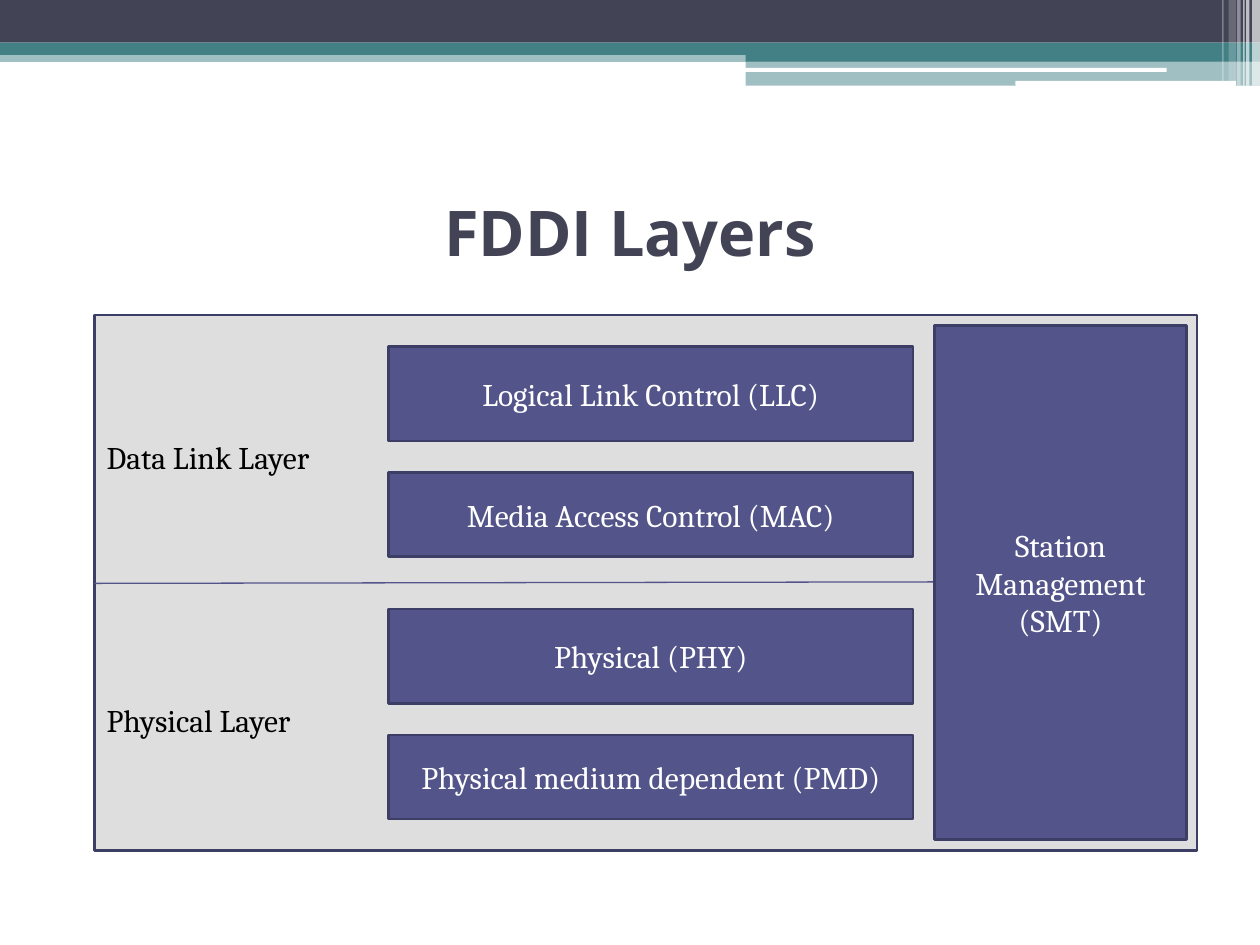
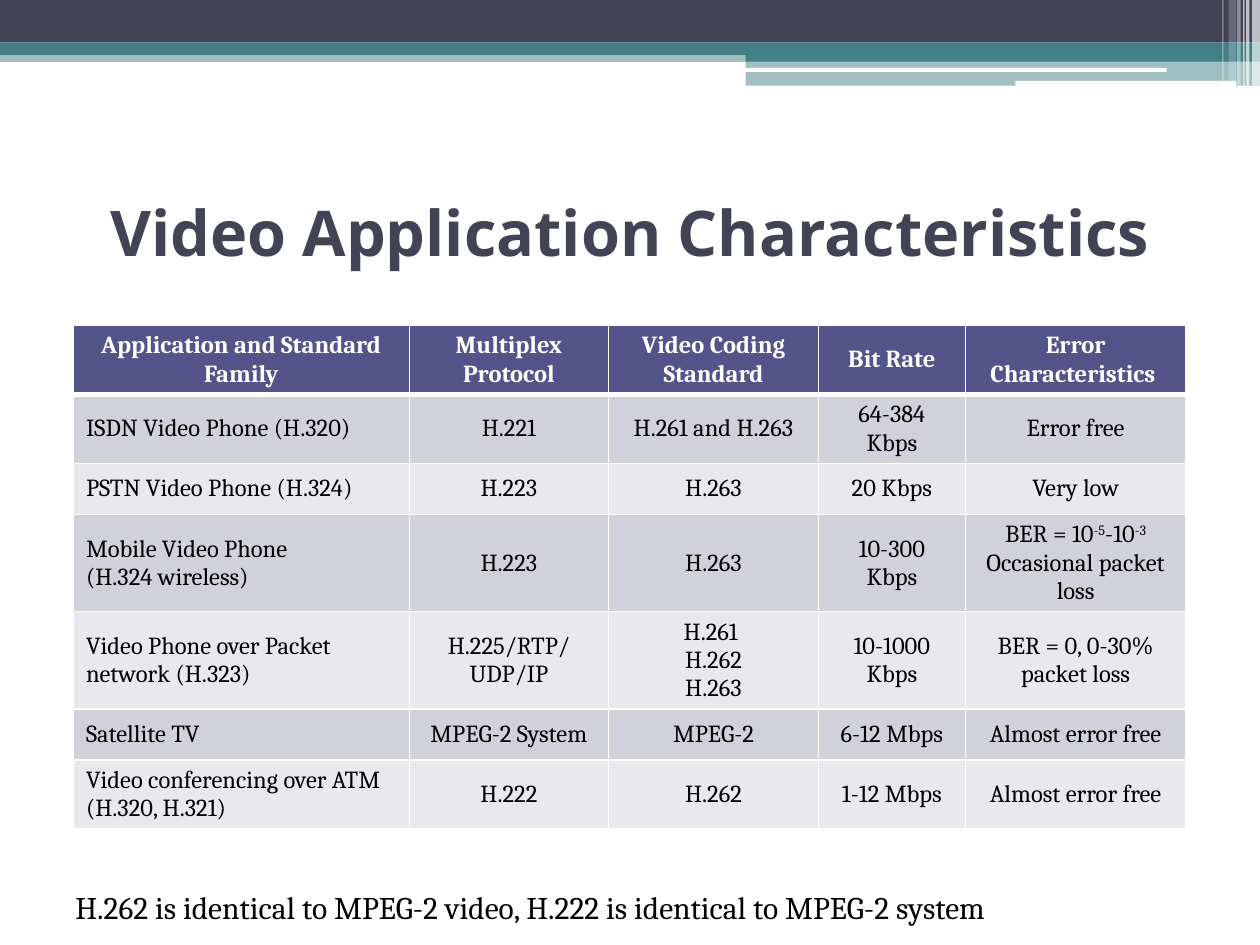
from dataclasses import dataclass

from lxml.etree import SubElement
from pptx import Presentation
from pptx.dml.color import RGBColor
from pptx.enum.shapes import MSO_CONNECTOR, MSO_SHAPE
from pptx.enum.text import MSO_ANCHOR, MSO_AUTO_SIZE, PP_ALIGN
from pptx.oxml.ns import qn
from pptx.oxml.xmlchemy import OxmlElement
from pptx.util import Cm, Pt

RECT, ROUND = MSO_SHAPE.RECTANGLE, MSO_SHAPE.ROUNDED_RECTANGLE
LINE = MSO_CONNECTOR.STRAIGHT
LEFT, CENTER = PP_ALIGN.LEFT, PP_ALIGN.CENTER
MIDDLE = MSO_ANCHOR.MIDDLE
GROW, FIXED = MSO_AUTO_SIZE.SHAPE_TO_FIT_TEXT, MSO_AUTO_SIZE.NONE

# Shared look
SLATE, TEAL, WHITE, BLACK = "424456", "438086", "FFFFFF", "000000"
VIOLET, EDGE, GREY = "53548A", "3D3E66", "DEDEDE"
STRIPES = ("D1D1DA", "E9E9ED")
HEAD, BODY = "Open Sans", "Cambria"
TITLE_ONLY = 5


@dataclass
class Box:
    """A place on the slide, in centimetres."""
    left: float
    top: float
    width: float
    height: float

    def lengths(self) -> tuple:
        return Cm(self.left), Cm(self.top), Cm(self.width), Cm(self.height)


@dataclass
class Band:
    box: Box
    fill: str
    alpha: int = 100
    shape: int = RECT


@dataclass
class Font:
    size: float
    color: str
    bold: bool = False
    name: str = BODY


@dataclass
class Layer:
    label: str
    width: float
    upper: str
    lower: str


TITLE = Font(36, SLATE, True, HEAD)
LABEL, NAME = Font(18, BLACK), Font(18, WHITE)
TOP_ROW, CELL = Font(14, WHITE, True), Font(14, BLACK)

BANDS = [
    Band(Box(0, 1.02, 25.4, 0.23), TEAL, 50),
    Band(Box(0, 0, 25.4, 0.86), SLATE),
    Band(Box(0, 0.86, 25.4, 0.25), TEAL),
    Band(Box(15.03, 0.99, 10.37, 0.25), TEAL),
    Band(Box(15.03, 1.23, 10.37, 0.5), TEAL, 50),
    Band(Box(15.01, 1.37, 8.51, 0.08), WHITE, 100, ROUND),
    Band(Box(20.47, 1.63, 4.45, 0.1), WHITE, 100, ROUND),
]
# Thin upright strips: left, width, height, alpha
STRIPS = [
    (25.24, 0.16, 1.73, 65), (25.12, 0.07, 1.73, 65),
    (25.06, 0.03, 1.73, 60), (24.94, 0.07, 1.73, 40),
    (24.77, 0.15, 1.63, 20), (24.64, 0.03, 1.63, 30),
]
BANDS += [Band(Box(x, 0, w, h), WHITE, a) for x, w, h, a in STRIPS]

# Words of the layer chart
LAYERS = [
    Layer("Data Link Layer", 5.08,
          "Logical Link Control (LLC)", "Media Access Control (MAC)"),
    Layer("Physical Layer", 4.62,
          "Physical (PHY)", "Physical medium dependent (PMD)"),
]

# Words of the table: a line break starts a paragraph, ^ turns superscript on or off
WIDTHS = (6.77, 4.02, 4.23, 2.96, 4.45)
ROWS = [
    ("Application and Standard Family", "Multiplex Protocol",
     "Video Coding Standard", "Bit Rate", "Error Characteristics "),
    ("ISDN Video Phone (H.320)", "H.221", "H.261 and H.263",
     "64-384 Kbps", "Error free"),
    ("PSTN Video Phone (H.324)", "H.223", "H.263", "20 Kbps", "Very low"),
    ("Mobile Video Phone \n(H.324 wireless)", "H.223", "H.263",
     "10-300 Kbps", "BER = 10^-5^-10^-3^\nOccasional packet loss"),
    ("Video Phone over Packet network (H.323)", "H.225/RTP/\nUDP/IP",
     "H.261 \nH.262\nH.263", "10-1000 Kbps", "BER = 0, 0-30% packet loss"),
    ("Satellite TV ", "MPEG-2 System", "MPEG-2", "6-12 Mbps",
     "Almost error free"),
    ("Video conferencing over ATM (H.320, H.321)", "H.222", "H.262",
     "1-12 Mbps", "Almost error free"),
]
NOTE = "H.262 is identical to MPEG-2 video, H.222 is identical to MPEG-2 system"


def rgb(code: str) -> RGBColor:
    return RGBColor.from_string(code)


def write(frame, text: str, font: Font, align=CENTER) -> None:
    for i, line in enumerate(text.split("\n")):
        para = frame.paragraphs[0] if i == 0 else frame.add_paragraph()
        para.alignment = align
        for j, piece in enumerate(line.split("^")):
            if not piece:
                continue
            run = para.add_run()
            run.text = piece
            run.font.size, run.font.bold = Pt(font.size), font.bold
            run.font.name = font.name
            run.font.color.rgb = rgb(font.color)
            if j % 2:
                run._r.get_or_add_rPr().set("baseline", "30000")


def block(slide, box: Box, fill: str, edge: str = "", shape=RECT):
    item = slide.shapes.add_shape(shape, *box.lengths())
    item.shadow.inherit = False
    item.fill.solid()
    item.fill.fore_color.rgb = rgb(fill)
    if edge:
        item.line.color.rgb = rgb(edge)
        item.line.width = Pt(1.5)
    else:
        item.line.fill.background()
    return item


def named(slide, box: Box, text: str) -> None:
    frame = block(slide, box, VIOLET, EDGE).text_frame
    frame.word_wrap = True
    frame.vertical_anchor = MIDDLE
    write(frame, text, NAME)


def label(slide, box: Box, text: str) -> None:
    frame = slide.shapes.add_textbox(*box.lengths()).text_frame
    frame.word_wrap = False
    frame.auto_size = GROW
    write(frame, text, LABEL, LEFT)


def rule(slide, start: tuple, end: tuple) -> None:
    line = slide.shapes.add_connector(LINE, *map(Cm, start + end))
    line.line.color.rgb = rgb(VIOLET)
    line.line.width = Pt(0.75)
    SubElement(line._element.spPr, qn("a:effectLst"))


def border(cell, row: int) -> None:
    """White grid lines, thicker below the top row."""
    props = cell._tc.get_or_add_tcPr()
    thick = {"lnB": row == 0, "lnT": row == 1}
    for i, side in enumerate(("lnL", "lnR", "lnT", "lnB")):
        line = OxmlElement("a:" + side)
        line.set("w", str(Pt(3 if thick.get(side) else 1)))
        fill = SubElement(line, qn("a:solidFill"))
        SubElement(fill, qn("a:srgbClr")).set("val", WHITE)
        props.insert(i, line)


def start(deck, title: str):
    """Add a slide with the bands and the title."""
    slide = deck.slides.add_slide(deck.slide_layouts[TITLE_ONLY])
    for band in BANDS:
        item = block(slide, band.box, band.fill, shape=band.shape)
        if band.alpha < 100:
            color = item._element.spPr.find(".//" + qn("a:srgbClr"))
            SubElement(color, qn("a:alpha")).set("val", str(band.alpha * 1000))
    head = slide.shapes.title
    head.left, head.top, head.width, head.height = Box(1.27, 3.18, 22.86, 2.96).lengths()
    frame = head.text_frame
    frame.auto_size = FIXED
    frame.vertical_anchor = MIDDLE
    write(frame, title, TITLE)
    return slide


def layers(deck) -> None:
    slide = start(deck, "FDDI Layers")
    block(slide, Box(1.9, 6.35, 22.23, 10.8), GREY, EDGE)
    rule(slide, (1.9, 11.76), (18.84, 11.73))
    for i, layer in enumerate(LAYERS):
        drop = i * 5.29
        named(slide, Box(7.83, 6.99 + drop, 10.58, 1.9), layer.upper)
        named(slide, Box(7.83, 9.53 + drop, 10.58, 1.69), layer.lower)
        label(slide, Box(1.9, 8.71 + drop, layer.width, 1.02), layer.label)
    named(slide, Box(18.84, 6.56, 5.08, 10.37), "Station Management\n(SMT)")


def video(deck) -> None:
    slide = start(deck, "Video Application Characteristics")
    high = 1.03
    box = Box(1.48, 6.56, sum(WIDTHS), high * len(ROWS))
    table = slide.shapes.add_table(len(ROWS), len(WIDTHS), *box.lengths()).table
    table.horz_banding = False
    for col, width in zip(table.columns, WIDTHS):
        col.width = Cm(width)
    for r, row in enumerate(ROWS):
        table.rows[r].height = Cm(high)
        for c, text in enumerate(row):
            cell = table.cell(r, c)
            cell.vertical_anchor = MIDDLE
            cell.fill.solid()
            cell.fill.fore_color.rgb = rgb(STRIPES[(r - 1) % 2] if r else VIOLET)
            border(cell, r)
            write(cell.text_frame, text, CELL if r else TOP_ROW,
                  LEFT if r and c == 0 else CENTER)
    label(slide, Box(1.27, 17.78, 21.62, 1.02), NOTE)


deck = Presentation()
deck.slide_width, deck.slide_height = Cm(25.4), Cm(19.05)
layers(deck)
video(deck)
deck.save("out.pptx")
